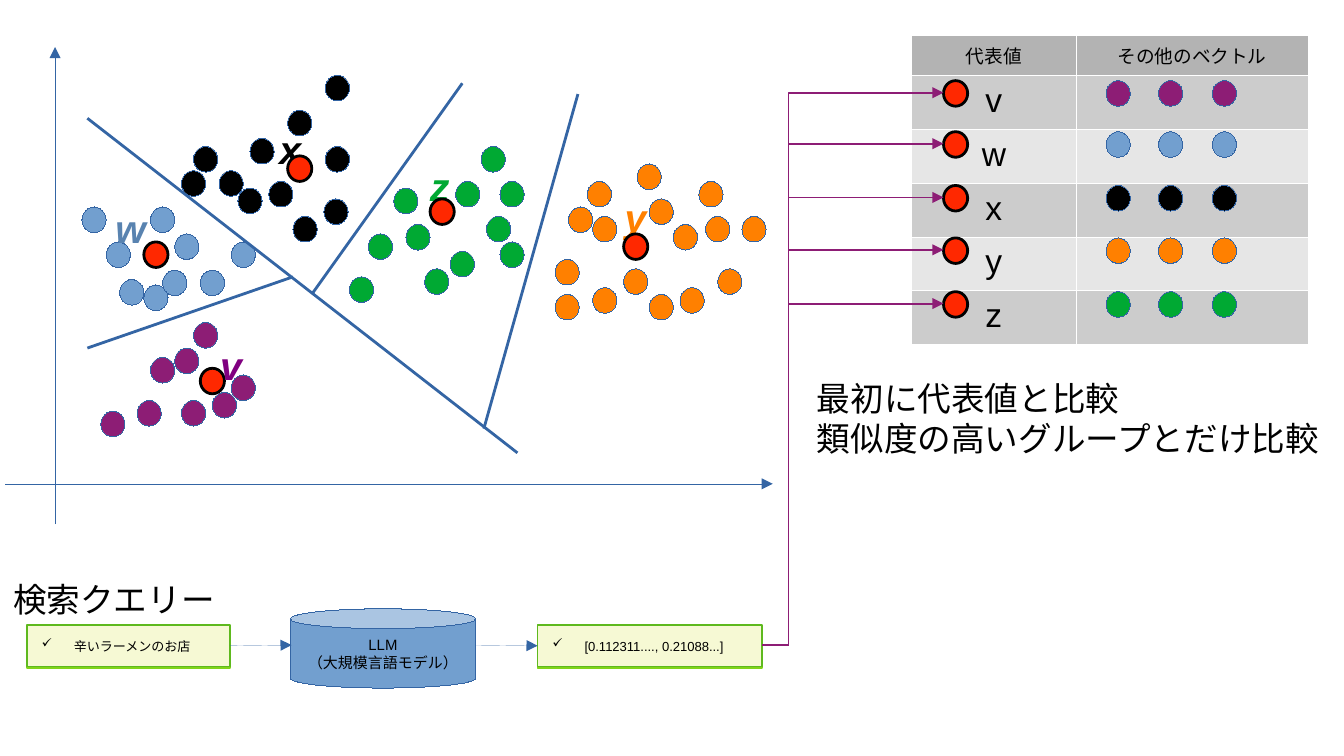
import pptx
import pptx.dml.color
import pptx.enum.shapes
import pptx.enum.text
import pptx.oxml
import pptx.oxml.ns
import pptx.util
from dataclasses import dataclass
from pptx.util import Inches


@dataclass(frozen=True)
class Theme:
    font: str = "Arial"
    ink: str = "000000"
    blue: str = "3465A4"
    can: str = "729FCF"
    centre: str = "FF2800"
    route: str = "8D1D75"
    box: str = "F6F9D4"
    box_line: str = "5EB91E"
    box_shadow: str = "81D41A"
    header: str = "B3B3B3"
    odd_row: str = "CCCCCC"
    even_row: str = "E6E6E6"
    border: str = "FFFFFF"
    label_size: int = 21
    text_size: int = 18
    header_size: int = 10
    can_size: int = 8
    box_size: int = 7


theme = Theme()
NS = 'xmlns:a="http://schemas.openxmlformats.org/drawingml/2006/main"'
Connector = pptx.enum.shapes.MSO_CONNECTOR
Shape = pptx.enum.shapes.MSO_SHAPE
Align = pptx.enum.text.PP_ALIGN
rgb = pptx.dml.color.RGBColor.from_string

# group: dot colour, label colour, label box, centre, other vectors (left, top)
groups = {
    "v": ("8D1D75", "800080", (1.54, 2.49, 0.36), (1.49, 2.74),
          [(1.3, 2.59), (1.44, 2.4), (1.12, 2.66), (1.58, 2.92), (1.35, 2.98),
           (0.75, 3.06), (1.02, 2.98), (1.72, 2.79)]),
    "w": ("729FCF", "5983B0", (0.76, 1.47, 0.42), (1.07, 1.8),
          [(0.79, 1.8), (0.89, 2.08), (1.07, 2.12), (1.12, 1.54), (0.61, 1.54),
           (1.21, 2.01), (1.49, 2.01), (1.72, 1.8), (1.3, 1.74)]),
    "x": ("000000", "000000", (1.98, 0.88, 0.36), (2.14, 1.16),
          [(2.42, 0.56), (1.44, 1.09), (2.18, 1.61), (2.14, 0.82), (1.77, 1.4),
           (1.35, 1.27), (1.86, 1.03), (2.41, 1.48), (1.63, 1.27), (2, 1.35),
           (2.42, 1.09)]),
    "y": ("FF8000", "FF8000", (4.55, 1.39, 0.36), (4.64, 1.74),
          [(5.2, 1.35), (5.25, 1.61), (4.83, 1.48), (4.41, 1.61), (4.13, 1.93),
           (4.37, 1.35), (5.01, 1.67), (4.74, 1.22), (4.23, 1.54), (4.64, 2),
           (5.52, 1.61), (5.34, 2), (4.83, 2.19), (4.41, 2.14), (5.06, 2.14),
           (4.13, 2.19)]),
    "z": ("00A933", "00A933", (3.1, 1.16, 0.34), (3.2, 1.48),
          [(3.39, 1.35), (3.62, 1.61), (3.58, 1.09), (3.02, 1.67), (2.93, 1.4),
           (3.72, 1.8), (3.72, 1.35), (2.74, 1.74), (3.35, 1.87), (2.6, 2.06),
           (3.16, 2)]),
}

deck = pptx.Presentation()
deck.slide_width = Inches(10)
deck.slide_height = deck.slide_width * 9 // 16
slide = deck.slides.add_slide(deck.slide_layouts[6])
shapes = slide.shapes


def outline(item, color, width):
    """Colour a line; a width of 0 is written out, as a hairline."""
    item.line.color.rgb = rgb(color)
    item._element.spPr.get_or_add_ln().set("w", str(int(pptx.util.Pt(width))))
    if item._element.tag.endswith("cxnSp"):
        item._element.spPr.append(pptx.oxml.parse_xml(f"<a:effectLst {NS}/>"))
    else:
        item.shadow.inherit = False


def write(frame, text, size, color=theme.ink, bold=False, align=None):
    """Put text in a frame and format every paragraph and run alike."""
    frame.text = text
    for paragraph in frame.paragraphs:
        paragraph.alignment = align
        for run in paragraph.runs:
            run.font.name = theme.font
            run.font.size = pptx.util.Pt(size)
            run.font.color.rgb = rgb(color)
            run.font.bold = run.font.italic = bold


# Each dot: place, fill, line, line width
map_dots, table_dots = [], []
for color, _, _, centre, vectors in groups.values():
    map_dots += [(place, color, theme.blue, 0) for place in vectors]
    map_dots.append((centre, theme.centre, theme.ink, 1.5))
dot_tops = (0.6, 0.98, 1.38, 1.77, 2.17)
for top, (color, *_) in zip(dot_tops, groups.values()):
    table_dots.append(((7.02, top), theme.centre, theme.ink, 1.5))
    table_dots += [((left, top), color, theme.blue, 0) for left in (8.23, 8.62, 9.02)]

# Vector map, with labels x, y, z behind the dots and v, w in front
for layer in ("xyz", map_dots, "vw", "table", table_dots):
    if layer == "table":
        index = shapes.add_table(6, 2, *map(Inches, (6.78, 0.26, 2.95, 2.2))).table
        index.horz_banding = False
        index.columns[0].width, index.columns[1].width = Inches(1.23), Inches(1.72)
        rows = [("代表値", "その他のベクトル")] + [(name, "") for name in groups]
        for r, texts in enumerate(rows):
            index.rows[r].height = Inches(0.38 if r else 0.3)
            fill = (theme.odd_row if r % 2 else theme.even_row) if r else theme.header
            for c, text in enumerate(texts):
                cell = index.cell(r, c)
                write(cell.text_frame, text, theme.text_size if r else theme.header_size,
                      align=Align.CENTER)
                cell.fill.solid()
                cell.fill.fore_color.rgb = rgb(fill)
                for position, side in enumerate("LRTB"):
                    cell._tc.get_or_add_tcPr().insert(position, pptx.oxml.parse_xml(
                        f'<a:ln{side} {NS} w="720"><a:solidFill>'
                        f'<a:srgbClr val="{theme.border}"/></a:solidFill></a:ln{side}>'))
    elif isinstance(layer, str):
        for name in layer:
            _, color, (left, top, width), _, _ = groups[name]
            label = shapes.add_textbox(*map(Inches, (left, top, width, 0.42)))
            label.text_frame.word_wrap = False
            write(label.text_frame, name, theme.label_size, color, bold=True)
    else:
        for (left, top), fill, edge, width in layer:
            dot = shapes.add_shape(Shape.OVAL, *map(Inches, (left, top, 0.18, 0.19)))
            dot.fill.solid()
            dot.fill.fore_color.rgb = rgb(fill)
            outline(dot, edge, width)

# Query, language model and resulting vector
flow = []
for kind, place, text, size, fill, edge, width in (
        (Shape.RECTANGLE, (0.2, 4.65, 1.51, 0.31), "辛いラーメンのお店",
         theme.box_size, theme.box, theme.box_line, 1),
        (Shape.CAN, (2.16, 4.53, 1.38, 0.59), "LLM\n（大規模言語モデル）",
         theme.can_size, theme.can, theme.blue, 0),
        (Shape.RECTANGLE, (4, 4.65, 1.67, 0.31), "[0.112311...., 0.21088...]",
         theme.box_size, theme.box, theme.box_line, 1)):
    step = shapes.add_shape(kind, *map(Inches, place))
    step.fill.solid()
    step.fill.fore_color.rgb = rgb(fill)
    outline(step, edge, width)
    step.text_frame.vertical_anchor = pptx.enum.text.MSO_ANCHOR.MIDDLE
    is_can = kind == Shape.CAN
    write(step.text_frame, text, size, align=Align.CENTER if is_can else Align.LEFT)
    if not is_can:
        step.text_frame.margin_left = step.text_frame.margin_right = Inches(0.11)
        bullet = step.text_frame.paragraphs[0]._p.get_or_add_pPr()
        bullet.set("marL", str(int(Inches(0.24))))
        bullet.set("indent", str(-int(Inches(0.24))))
        bullet.append(pptx.oxml.parse_xml(
            f'<a:buClr {NS}><a:srgbClr val="{theme.ink}"/></a:buClr>'))
        bullet.append(pptx.oxml.parse_xml(f'<a:buChar {NS} char="✓"/>'))
        step._element.spPr.find(pptx.oxml.ns.qn("a:effectLst")).append(pptx.oxml.parse_xml(
            f'<a:outerShdw {NS} blurRad="0" dist="12700" dir="5400000">'
            f'<a:srgbClr val="{theme.box_shadow}"/></a:outerShdw>'))
    flow.append(step)
query, model, vector = flow

# Axes, group divisions, flow arrows and routes to each representative
lines = [((0.41, 3.9), (0.41, 0.35), theme.blue, 0),
         ((0.04, 3.6), (5.75, 3.6), theme.blue, 0),
         ((0.65, 0.88), (3.85, 3.37), theme.blue, 1.5),
         ((0.65, 2.59), (2.18, 2.06), theme.blue, 1.5),
         ((2.32, 2.19), (3.44, 0.62), theme.blue, 1.5),
         ((4.3, 0.7), (3.6, 3.19), theme.blue, 1.5),
         ((1.71, 4.8), (2.17, 4.8), theme.blue, 0),
         ((3.54, 4.8), (4, 4.8), theme.blue, 0)]
lines += [((5.67, 4.8), (7.02, top + 0.09), theme.route, 1) for top in dot_tops]
for start, end, color, width in lines:
    is_route = color == theme.route
    kind = Connector.ELBOW if is_route else Connector.STRAIGHT
    line = shapes.add_connector(kind, *map(Inches, start + end))
    outline(line, color, width)
    if width < 1.5:
        line._element.spPr.get_or_add_ln().append(
            pptx.oxml.parse_xml(f'<a:tailEnd {NS} type="triangle"/>'))
    if is_route:
        bend = line._element.spPr.find(pptx.oxml.ns.qn("a:prstGeom")).get_or_add_avLst()
        bend.append(pptx.oxml.parse_xml(f'<a:gd {NS} name="adj1" fmla="val 14600"/>'))
    elif start == (1.71, 4.8):
        line.begin_connect(query, 3)
    elif end == (4, 4.8):
        line.end_connect(vector, 1)

# Captions
for place, text in (((0, 4.26, 1.7, 0.46), "検索クエリー"),
                    ((5.98, 2.76, 3.95, 0.94),
                     "最初に代表値と比較\n類似度の高いグループとだけ比較")):
    caption = shapes.add_textbox(*map(Inches, place))
    caption.text_frame.word_wrap = False
    write(caption.text_frame, text, theme.text_size)

deck.save("out.pptx")
